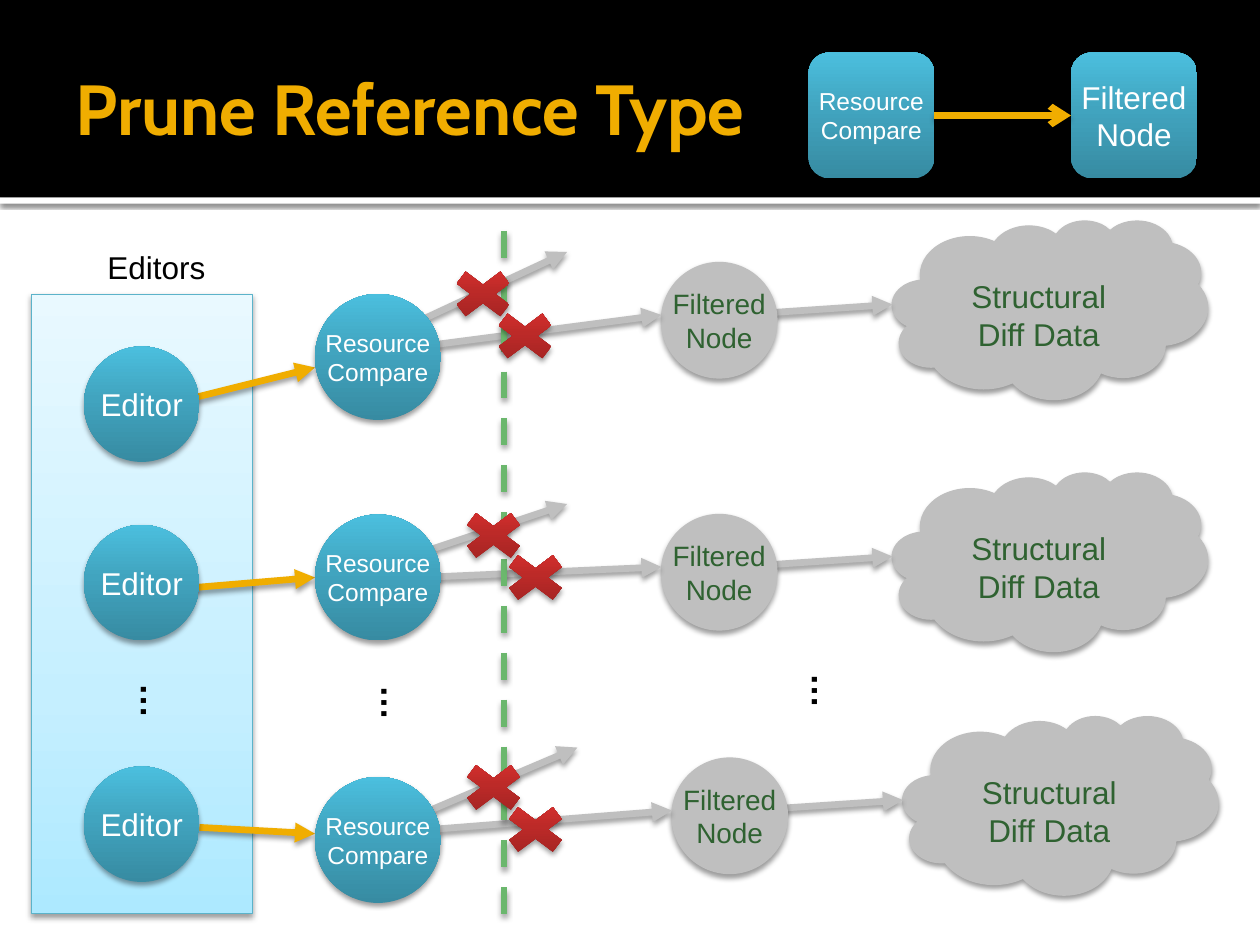
from lxml.etree import SubElement
from pptx import Presentation
from pptx.dml.color import RGBColor
from pptx.enum.dml import MSO_LINE
from pptx.enum.shapes import MSO_CONNECTOR, MSO_SHAPE
from pptx.enum.text import MSO_ANCHOR, PP_ALIGN
from pptx.oxml.ns import qn
from pptx.util import Cm, Pt

GRID = 2.54 / 12  # cm per grid step; all positions below are in grid steps

BLACK = RGBColor(0x00, 0x00, 0x00)
WHITE = RGBColor(0xFF, 0xFF, 0xFF)
GOLD = RGBColor(0xF0, 0xAD, 0x00)
GREY = RGBColor(0xBF, 0xBF, 0xBF)
GREEN = RGBColor(0x6B, 0xB7, 0x6D)
DARK_GREEN = RGBColor(0x2F, 0x62, 0x31)
PANEL_LINE = RGBColor(0x5B, 0xB3, 0xCA)
# Gradients run from bottom to top: (percent, colour)
TEAL = [(0, RGBColor(0x37, 0x8B, 0xA2)), (55, RGBColor(0x41, 0xA4, 0xBF)),
        (100, RGBColor(0x4B, 0xBF, 0xDE))]
RED = [(0, RGBColor(0xA0, 0x23, 0x22)), (55, RGBColor(0xBC, 0x2A, 0x28)),
       (100, RGBColor(0xDC, 0x30, 0x2F))]
PALE = [(0, RGBColor(0xAD, 0xE9, 0xFF)), (35, RGBColor(0xC5, 0xEF, 0xFF)),
        (100, RGBColor(0xE9, 0xF9, 0xFF))]

SOFT = (38, 3.1, 2)  # shadow: opacity percent, blur and distance in points

# Per row: editor top, compare top, editor arrow, starts of the pruned arrows,
# first cross, shift of the pruned part
ROWS = [
    (33, 28, (18, 38, 30, 35), (39, 31), (40, 33), (42, 25), (0, 0)),
    (50, 49, (18, 56, 30, 55), (39, 53), (40, 55), (43, 48), (0, 24)),
    (73, 74, (19, 78.8, 30, 79.4), (39, 78), (41, 79), (43, 72), (1, 47.2)),
]


def grid(*steps):
    return [Cm(n * GRID) for n in steps]


def add_shadow(sp, opacity, blur, dist):
    sp_pr = sp._element.spPr
    effects = sp_pr.find(qn("a:effectLst"))
    if effects is None:
        effects = SubElement(sp_pr, qn("a:effectLst"))
    shadow = SubElement(effects, qn("a:outerShdw"), blurRad=str(Pt(blur)),
                        dist=str(Pt(dist)), dir="5400000", rotWithShape="0")
    color = SubElement(shadow, qn("a:srgbClr"), val=str(BLACK))
    SubElement(color, qn("a:alpha"), val=str(opacity * 1000))


def fill_gradient(sp, stops):
    sp.fill.gradient()
    sp.fill.gradient_angle = 90
    stop_list = sp._element.spPr.find(".//" + qn("a:gsLst"))
    for old in list(stop_list):
        stop_list.remove(old)
    for percent, color in stops:
        stop = SubElement(stop_list, qn("a:gs"), pos=str(percent * 1000))
        SubElement(stop, qn("a:srgbClr"), val=str(color))


def set_text(sp, text, size=18, color=WHITE, font="Arial", bold=False,
             align=PP_ALIGN.CENTER, anchor=MSO_ANCHOR.MIDDLE, wrap=False):
    tf = sp.text_frame
    tf.word_wrap = wrap
    tf.vertical_anchor = anchor
    for i, line in enumerate(text.split("\n")):
        p = tf.add_paragraph() if i else tf.paragraphs[0]
        p.alignment = align
        r = p.add_run()
        r.text = line
        r.font.name = font
        r.font.size = Pt(size)
        r.font.bold = bold
        r.font.color.rgb = color


def add_box(s, kind, x, y, w, h, fill, line=None, width=0.75, shadow=SOFT):
    sp = s.shapes.add_shape(kind, *grid(x, y, w, h))
    sp.shadow.inherit = False
    if isinstance(fill, list):
        fill_gradient(sp, fill)
    else:
        sp.fill.solid()
        sp.fill.fore_color.rgb = fill
    if line is None:
        sp.line.fill.background()
    else:
        sp.line.color.rgb = line
        sp.line.width = Pt(width)
    if shadow:
        add_shadow(sp, *shadow)
    return sp


def add_label(s, x, y, w, h, text, **fmt):
    sp = s.shapes.add_textbox(*grid(x, y, w, h))
    set_text(sp, text, **fmt)
    return sp


def add_line(s, x1, y1, x2, y2, color, head="triangle", dashed=False):
    line = s.shapes.add_connector(MSO_CONNECTOR.STRAIGHT, *grid(x1, y1, x2, y2))
    line.line.color.rgb = color
    line.line.width = Pt(3.82)
    if dashed:
        line.line.dash_style = MSO_LINE.DASH
    if head:
        SubElement(line.line._get_or_add_ln(), qn("a:tailEnd"), type=head)
    add_shadow(line, *SOFT)


def add_cloud(s, x, y):
    sp = add_box(s, MSO_SHAPE.CLOUD, x, y, 30, 17, GREY, line=GREY)
    set_text(sp, "Structural\nDiff Data", color=DARK_GREEN,
             anchor=MSO_ANCHOR.TOP, wrap=True)
    sp.text_frame.margin_top = Cm(0.6)


def add_header(s):
    add_box(s, MSO_SHAPE.RECTANGLE, 0, 18.8, 120, 0.6, WHITE, shadow=(60, 2.5, 0.8))
    add_box(s, MSO_SHAPE.RECTANGLE, 0, 0, 120, 18.8, BLACK, shadow=None)
    add_label(s, 6, 2, 69, 16.4, "Prune Reference Type", size=40.5, color=GOLD,
              font="Cabin", bold=True, align=PP_ALIGN.LEFT, wrap=True)


def add_legend(s):
    for x, text, size in [(102, "Filtered\nNode", 18), (77, "Resource\nCompare", 14)]:
        sp = add_box(s, MSO_SHAPE.ROUNDED_RECTANGLE, x, 5, 12, 12, TEAL)
        set_text(sp, text, size=size)
    add_line(s, 89, 11, 102, 11, GOLD, head="arrow")


def main():
    prs = Presentation()
    prs.slide_width, prs.slide_height = Cm(25.4), Cm(19.05)
    s = prs.slides.add_slide(prs.slide_layouts[6])
    add_header(s)

    # Editors panel and continuation dots
    add_box(s, MSO_SHAPE.RECTANGLE, 3, 28, 21, 59, PALE, line=PANEL_LINE,
            width=0.5, shadow=(38, 3.5, 2))
    add_label(s, 9, 23, 11.8, 4.8, "Editors", color=BLACK)
    for x, y in [(11.8, 64.1), (75.7, 63.2), (34.7, 64.3)]:
        dots = add_label(s, x, y, 5.8, 5.3, "…", size=20, color=BLACK, bold=True,
                         anchor=MSO_ANCHOR.TOP)
        dots.rotation = 90

    # Pruned part: clouds, filtered nodes and grey arrows
    for _, _, _, up_start, node_start, _, (dx, dy) in ROWS:
        add_cloud(s, 85 + dx, 21 + dy)
        add_line(s, 70 + dx, 30 + dy, 85 + dx, 29 + dy, GREY)
        node = add_box(s, MSO_SHAPE.OVAL, 63 + dx, 25 + dy, 11, 11, GREY, line=GREY)
        set_text(node, "Filtered\nNode", size=16, color=DARK_GREEN)
        add_line(s, *up_start, 54 + dx, 24 + dy, GREY)
        add_line(s, *node_start, 63 + dx, 30 + dy, GREY)

    # Kept part: editors and compare nodes
    for editor_y, compare_y, arrow, *_ in ROWS:
        add_line(s, *arrow, GOLD)
        editor = add_box(s, MSO_SHAPE.OVAL, 8, editor_y, 11, 11, TEAL)
        set_text(editor, "Editor")
        compare = add_box(s, MSO_SHAPE.OVAL, 30, compare_y, 12, 12, TEAL)
        set_text(compare, "Resource\nCompare", size=14)

    # Cut line, legend and crosses
    add_line(s, 48, 22, 48, 87, GREEN, head=None, dashed=True)
    add_legend(s)
    for *_, (x, y), _ in ROWS:
        for step in (0, 4):
            add_box(s, MSO_SHAPE.MATH_MULTIPLY, x + step, y + step, 8, 6, RED)

    prs.save("out.pptx")


if __name__ == "__main__":
    main()
